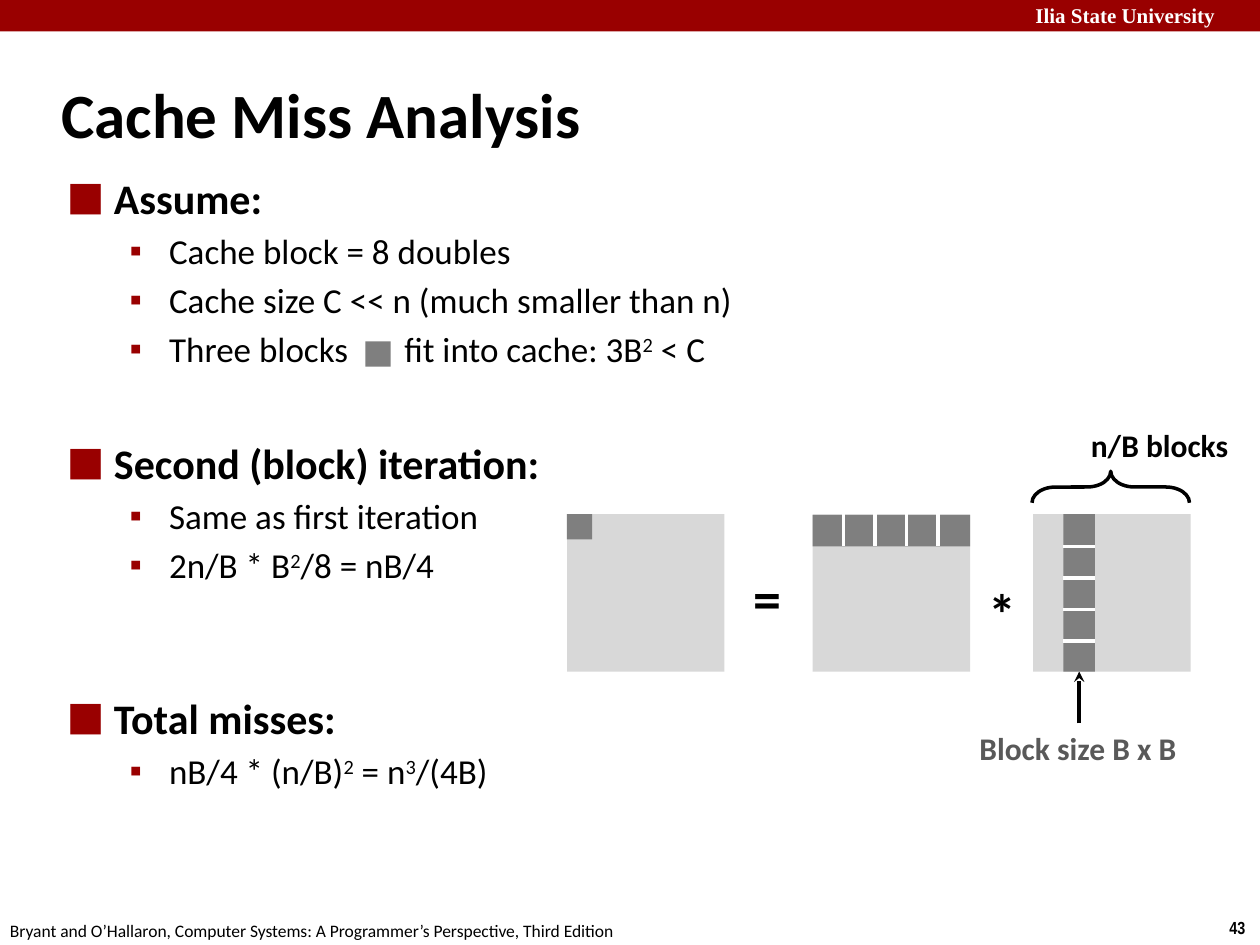
from lxml.etree import SubElement
from pptx import Presentation
from pptx.dml.color import RGBColor
from pptx.enum.shapes import MSO_CONNECTOR, MSO_SHAPE
from pptx.enum.text import MSO_ANCHOR
from pptx.oxml.ns import qn
from pptx.util import Pt

RED, BLACK, WHITE = "990000", "000000", "FFFFFF"
LIGHT, DARK, LABEL = "D8D8D8", "7F7F7F", "595959"


def color(hex_text):
    return RGBColor.from_string(hex_text)


def write(para, text, size=18, font="Calibri", fill=BLACK, bold=False,
          raised=False, spacing=0):
    """Add one formatted span to a paragraph."""
    span = para.add_run()
    span.text = text
    span.font.size = Pt(size)
    span.font.name = font
    span.font.bold = bold
    span.font.color.rgb = color(fill)
    properties = span.font._element
    if raised:
        properties.set("baseline", "30000")
    if spacing:
        properties.set("spc", str(round(spacing * 100)))


def add_bullet(para, symbol, margin, hanging, percent=100):
    properties = para._p.get_or_add_pPr()
    properties.set("marL", str(Pt(margin)))
    properties.set("indent", str(-Pt(hanging)))
    bullet_color = SubElement(properties, qn("a:buClr"))
    SubElement(bullet_color, qn("a:srgbClr")).set("val", RED)
    SubElement(properties, qn("a:buSzPct")).set("val", str(percent * 1000))
    SubElement(properties, qn("a:buFont")).set("typeface", "Times New Roman")
    SubElement(properties, qn("a:buChar")).set("char", symbol)


class SlideBuilder:
    def __init__(self, slide):
        self.slide = slide
        self.line_width = Pt(2)

    def box(self, left, top, width, height, wrap=True):
        box = self.slide.shapes.add_textbox(Pt(left), Pt(top), Pt(width), Pt(height))
        box.text_frame.word_wrap = wrap
        return box

    def label(self, text, left, top, width, height, wrap=False, **style):
        box = self.box(left, top, width, height, wrap)
        write(box.text_frame.paragraphs[0], text, **style)
        return box

    def rectangle(self, left, top, width, height, fill):
        shape = self.slide.shapes.add_shape(
            MSO_SHAPE.RECTANGLE, Pt(left), Pt(top), Pt(width), Pt(height))
        shape.shadow.inherit = False
        shape.fill.solid()
        shape.fill.fore_color.rgb = color(fill)
        shape.line.fill.background()
        return shape

    def top_brace(self, left, top, width, height):
        """Draw a brace lying on its side with its tip upwards."""
        shift = (width - height) / 2
        brace = self.slide.shapes.add_shape(
            MSO_SHAPE.LEFT_BRACE, Pt(left + shift), Pt(top - shift), Pt(height), Pt(width))
        brace.rotation = 90
        brace.adjustments[0] = 0.75
        brace.shadow.inherit = False
        brace.fill.background()
        brace.line.color.rgb = color(BLACK)
        brace.line.width = self.line_width

    def line(self, x1, y1, x2, y2, fill):
        line = self.slide.shapes.add_connector(
            MSO_CONNECTOR.STRAIGHT, Pt(x1), Pt(y1), Pt(x2), Pt(y2))
        line.line.color.rgb = color(fill)
        line.line.width = self.line_width
        SubElement(line._element.spPr, qn("a:effectLst"))
        return line

    def arrow(self, start, start_site, end, end_site):
        arrow = self.line(0, 0, 0, 0, BLACK)
        arrow.begin_connect(start, start_site)
        arrow.end_connect(end, end_site)
        SubElement(arrow.line._get_or_add_ln(), qn("a:tailEnd")).set("type", "stealth")

    def outline(self, sections, left, top, width, height):
        """Write headings with bullets; ^ marks enclose a superscript or a wide gap."""
        frame = self.box(left, top, width, height).text_frame
        for number, (heading, space, items) in enumerate(sections):
            para = frame.add_paragraph() if number else frame.paragraphs[0]
            add_bullet(para, "■", 27, 27, percent=150)
            para.space_before = Pt(space)
            write(para, heading, size=24, bold=True)
            for item in items:
                para = frame.add_paragraph()
                add_bullet(para, "▪", 58.5, 22.5)
                para.space_before = Pt(4)
                for index, part in enumerate(item.split("^")):
                    gap = part == " "
                    write(para, part, size=20, raised=index % 2 == 1 and not gap,
                          spacing=27.5 if gap else 0)


def main():
    deck = Presentation()
    deck.slide_width, deck.slide_height = Pt(720), Pt(540)
    page = SlideBuilder(deck.slides.add_slide(deck.slide_layouts[6]))

    # Header band and footer
    page.rectangle(0, 0, 720, 18, RED)
    page.label("Ilia State University", 584.6, -2.2, 140.4, 36, wrap=True,
               size=12, font="Times New Roman", fill=WHITE, bold=True)
    page.label("43", 695.5, 520.6, 24.5, 19.4, size=10, font="Arial Narrow", bold=True)
    page.label("Bryant and O’Hallaron, Computer Systems: A Programmer’s Perspective, "
               "Third Edition", -1.4, 522, 365.8, 19.4, wrap=True, size=10)

    # Title and outline
    title = page.label("Cache Miss Analysis", 28, 34.6, 597.6, 59.8, wrap=True,
                       size=36, bold=True)
    title.text_frame.vertical_anchor = MSO_ANCHOR.MIDDLE
    page.outline([
        ("Assume:", 0, ["Cache block = 8 doubles",
                        "Cache size C << n (much smaller than n)",
                        "Three blocks^ ^fit into cache: 3B^2^ < C"]),
        ("Second (block) iteration:", 38.5, ["Same as first iteration",
                                             "2n/B * B^2^/8 = nB/4"]),
        ("Total misses:", 61, ["nB/4 * (n/B)^2^ = n^3^/(4B)"]),
    ], 31, 95, 622, 420.5)
    page.rectangle(208.8, 195.1, 14.4, 14.4, DARK)

    # Matrices and operators
    top, side, block = 293.8, 90, 18
    result, row, column = 324, 464.4, 590.4
    for left in (result, row, column):
        page.rectangle(left, top, side, side, LIGHT)
    for operator, left, height in (("=", 423.4, 318.2), ("*", 558, 326.9)):
        page.label(operator, left, height, 31, 46, size=32, bold=True)

    # Highlighted blocks, parted by white lines
    strip = column + 17.3
    page.rectangle(result, top, 14.4, 14.4, DARK)
    page.rectangle(row, top + 0.5, side, block, DARK)
    column_strip = page.rectangle(strip, top, block, side, DARK)
    for number in range(1, 5):
        step = number * block
        page.line(row + step - 0.5, top, row + step - 0.5, top + block, WHITE)
        page.line(strip + block, top + step + 0.5, strip, top + step + 0.5, WHITE)

    # Annotations
    size_label = page.label("Block size B x B", 552.6, 413.3, 128.2, 28.8,
                            fill=LABEL, bold=True)
    page.arrow(size_label, 0, column_strip, 2)
    page.top_brace(589.7, 269.3, side, block)
    page.label("n/B blocks", 616.3, 239.8, 93.6, 28.8, bold=True)

    deck.save("out.pptx")


if __name__ == "__main__":
    main()
